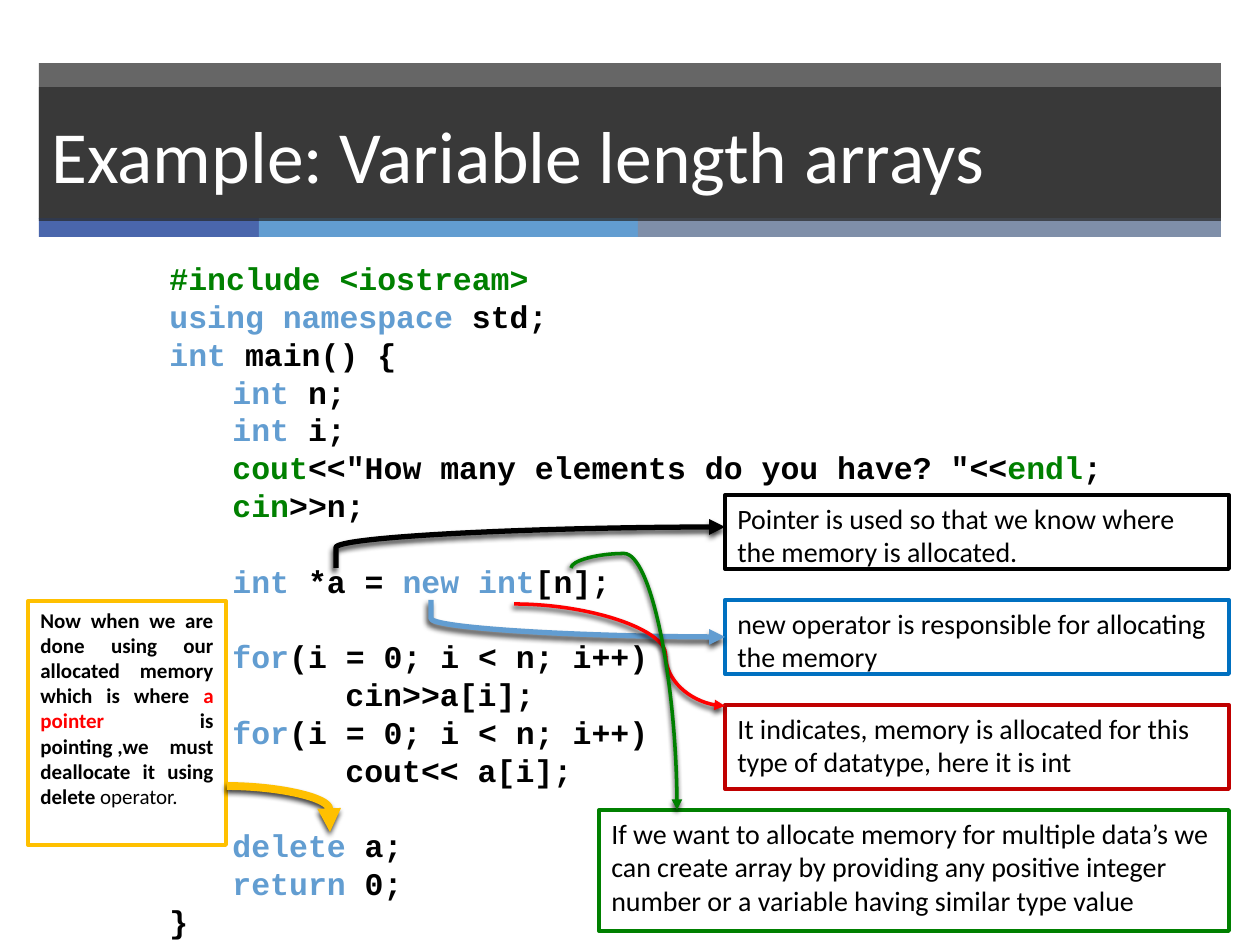
import pptx
import pptx.dml.color
import pptx.enum.shapes
import pptx.enum.text
import pptx.oxml
import pptx.oxml.ns
import pptx.util

EMU_PER_PX = 914400 / 126
SHAPES = pptx.enum.shapes.MSO_SHAPE
ALIGN = pptx.enum.text.PP_ALIGN
ANCHOR = pptx.enum.text.MSO_ANCHOR
NAMESPACE = pptx.oxml.ns.nsdecls("a")
NBSP = chr(160)

BLACK, WHITE, DARK = "000000", "FFFFFF", "262626"
GREEN, BLUE, RED, GOLD = "008000", "629DD1", "FF0000", "FFC000"

INDENT, BODY_INDENT = 63, 176
LINE_PITCH = pptx.util.Pt(21.6)

# Each line: left indent, blank lines above, then (text, colour) spans
CODE = [
    (0, 0, [("#include <iostream>", GREEN)]),
    (0, 0, [("using namespace ", BLUE), ("std;", BLACK)]),
    (0, 0, [("int", BLUE), (" main() {", BLACK)]),
    (INDENT, 0, [("int", BLUE), (" n;", BLACK)]),
    (INDENT, 0, [("int ", BLUE), ("i;", BLACK)]),
    (INDENT, 0, [("cout", GREEN), ('<<"How many elements do you have? "<<', BLACK),
                 ("endl", GREEN), (";", BLACK)]),
    (INDENT, 0, [("cin", GREEN), (">>n;", BLACK)]),
    (INDENT, 1, [("int", BLUE), (" *a = ", BLACK), ("new int", BLUE), ("[n];", BLACK)]),
    (INDENT, 1, [("for", BLUE), ("(i = 0; i < n; i++)", BLACK)]),
    (BODY_INDENT, 0, [("cin>>a[i];", BLACK)]),
    (INDENT, 0, [("for", BLUE), ("(i = 0; i < n; i++)", BLACK)]),
    (BODY_INDENT, 0, [("cout<< a[i];", BLACK)]),
    (INDENT, 1, [("delete", BLUE), (" a;", BLACK)]),
    (INDENT, 0, [("return", BLUE), (" 0;", BLACK)]),
    (0, 0, [("}", BLACK)]),
]

# Each note: left, top, width, height, outline, text
NOTES = [
    (725, 495, 504, 74, BLACK,
     "Pointer is used so that we know where the memory is allocated."),
    (725, 600, 504, 74, "0070C0",
     "new operator is responsible for allocating the memory"),
    (725, 705, 504, 84, "C00000",
     "It indicates, memory is allocated for this type of datatype, here it is int"),
    (599, 810, 630, 121, GREEN,
     "If we want to allocate memory for multiple data’s we can create array by "
     "providing any positive integer number or a variable having similar type value"),
]

# Each arrow: start, end, colour, width in points, bend in 1/100000, starts upright
ARROWS = [
    ((336, 568), (725, 527), BLACK, 3, 0, False),
    ((431, 600), (725, 637), BLUE, 3, 0, False),
    ((514, 604), (725, 706), RED, 2, 71900, False),
    ((571, 568), (677, 810), GREEN, 2, -6000, True),
    ((227, 786), (330, 832), GOLD, 4.5, 99300, False),
]


def emu(px):
    return round(px * EMU_PER_PX)


def rgb(color):
    return pptx.dml.color.RGBColor.from_string(color)


def assign(target, values):
    for name, value in values.items():
        setattr(target, name, value)


def xml(markup):
    """Parse one element, given without its closing bracket's namespace."""
    head, rest = markup.split(" ", 1)
    return pptx.oxml.parse_xml(f"{head} {NAMESPACE} {rest}")


class SlideWriter:
    text_font = "Calibri"
    code_font = "Courier New"

    def __init__(self, page):
        self.page = page

    def spans(self, para, parts, **font):
        for text, color, bold in parts:
            span = para.add_run()
            span.text = text
            assign(span.font, {"name": self.text_font, "bold": bold, **font})
            span.font.color.rgb = rgb(color)

    def bar(self, left, top, width, height, color, opacity=100):
        shape = self.page.shapes.add_shape(
            SHAPES.RECTANGLE, *map(emu, (left, top, width, height)))
        shape.shadow.inherit = False
        shape.line.fill.background()
        shape.fill.solid()
        shape.fill.fore_color.rgb = rgb(color)
        if opacity < 100:
            fill_color = shape.element.spPr.find(".//" + pptx.oxml.ns.qn("a:srgbClr"))
            fill_color.append(xml(f'<a:alpha val="{opacity * 1000}"/>'))
        return shape

    def title(self, left, top, width, height, text):
        shape = self.bar(left, top, width, height, DARK, 70)
        assign(shape.text_frame, {"vertical_anchor": ANCHOR.MIDDLE, "word_wrap": True})
        para = shape.text_frame.paragraphs[0]
        para.alignment = ALIGN.LEFT
        self.spans(para, [(text, WHITE, False)], size=pptx.util.Pt(42))

    def code(self, left, top, width, height, lines):
        box = self.page.shapes.add_textbox(*map(emu, (left, top, width, height)))
        frame = box.text_frame
        frame.word_wrap = False
        for number, (indent, gap, parts) in enumerate(lines):
            para = frame.add_paragraph() if number else frame.paragraphs[0]
            assign(para, {"line_spacing": LINE_PITCH, "space_before": gap * LINE_PITCH})
            para._p.get_or_add_pPr().set("marL", str(emu(indent)))
            self.spans(para, [(text, color, True) for text, color in parts],
                       name=self.code_font, size=pptx.util.Pt(18))

    def note(self, left, top, width, height, outline, parts, size=16, align=ALIGN.LEFT):
        shape = self.page.shapes.add_shape(
            SHAPES.RECTANGLE, *map(emu, (left, top, width, height)))
        shape.shadow.inherit = False
        shape.fill.background()
        shape.line.color.rgb = rgb(outline)
        shape.line.width = pptx.util.Pt(2.25)
        assign(shape.text_frame, {"vertical_anchor": ANCHOR.TOP, "word_wrap": True})
        para = shape.text_frame.paragraphs[0]
        para.alignment = align
        self.spans(para, parts, size=pptx.util.Pt(size))

    def arrow(self, start, end, color, width, bend, upright):
        (x1, y1), (x2, y2) = start, end
        if upright:  # lay the curve flat about its centre, to be turned back below
            mid_x, mid_y = (x1 + x2) / 2, (y1 + y2) / 2
            half_x, half_y = (y2 - y1) / 2, (x2 - x1) / 2
            x1, x2 = mid_x + half_x, mid_x - half_x
            y1, y2 = mid_y - half_y, mid_y + half_y
        curve = self.page.shapes.add_connector(
            pptx.enum.shapes.MSO_CONNECTOR.CURVE, *map(emu, (x1, y1, x2, y2)))
        curve.line.color.rgb = rgb(color)
        curve.line.width = pptx.util.Pt(width)
        properties = curve.element.spPr
        if upright:
            properties.find(pptx.oxml.ns.qn("a:xfrm")).set("rot", str(270 * 60000))
        properties.find(".//" + pptx.oxml.ns.qn("a:avLst")).append(
            xml(f'<a:gd name="adj1" fmla="val {bend}"/>'))
        properties.find(pptx.oxml.ns.qn("a:ln")).append(xml('<a:tailEnd type="triangle"/>'))
        properties.append(xml(
            '<a:effectLst ><a:outerShdw blurRad="38100" dist="25400" dir="6600000" '
            'rotWithShape="0"><a:srgbClr val="000000"><a:alpha val="75000"/>'
            '</a:srgbClr></a:outerShdw></a:effectLst>'.replace("<a:effectLst >", "<a:effectLst >")))


def main():
    deck = pptx.Presentation()
    assign(deck, {"slide_width": emu(1260), "slide_height": emu(945)})
    writer = SlideWriter(deck.slides.add_slide(deck.slide_layouts[6]))

    writer.bar(39, 63, 1182, 156, DARK, 70)
    left = 39
    for width, color in ((220, "4A66AC"), (379, BLUE), (583, "7F8FA9")):
        writer.bar(left, 218, width, 19, color)
        left += width
    writer.title(39, 87, 1182, 134, "Example: Variable length arrays")

    writer.code(157, 253, 963, 699, CODE)
    for *place, outline, text in NOTES:
        writer.note(*place, outline, [(text, BLACK, False)])
    writer.note(28, 601, 198, 244, GOLD, [
        ("Now when we are done using our allocated memory which is where ", BLACK, True),
        ("a pointer", RED, True),
        (f" is pointing{NBSP},we must deallocate it using delete ", BLACK, True),
        ("operator.", BLACK, False),
    ], size=12, align=ALIGN.JUSTIFY)
    for arrow in ARROWS:
        writer.arrow(*arrow)

    deck.save("out.pptx")


if __name__ == "__main__":
    main()
